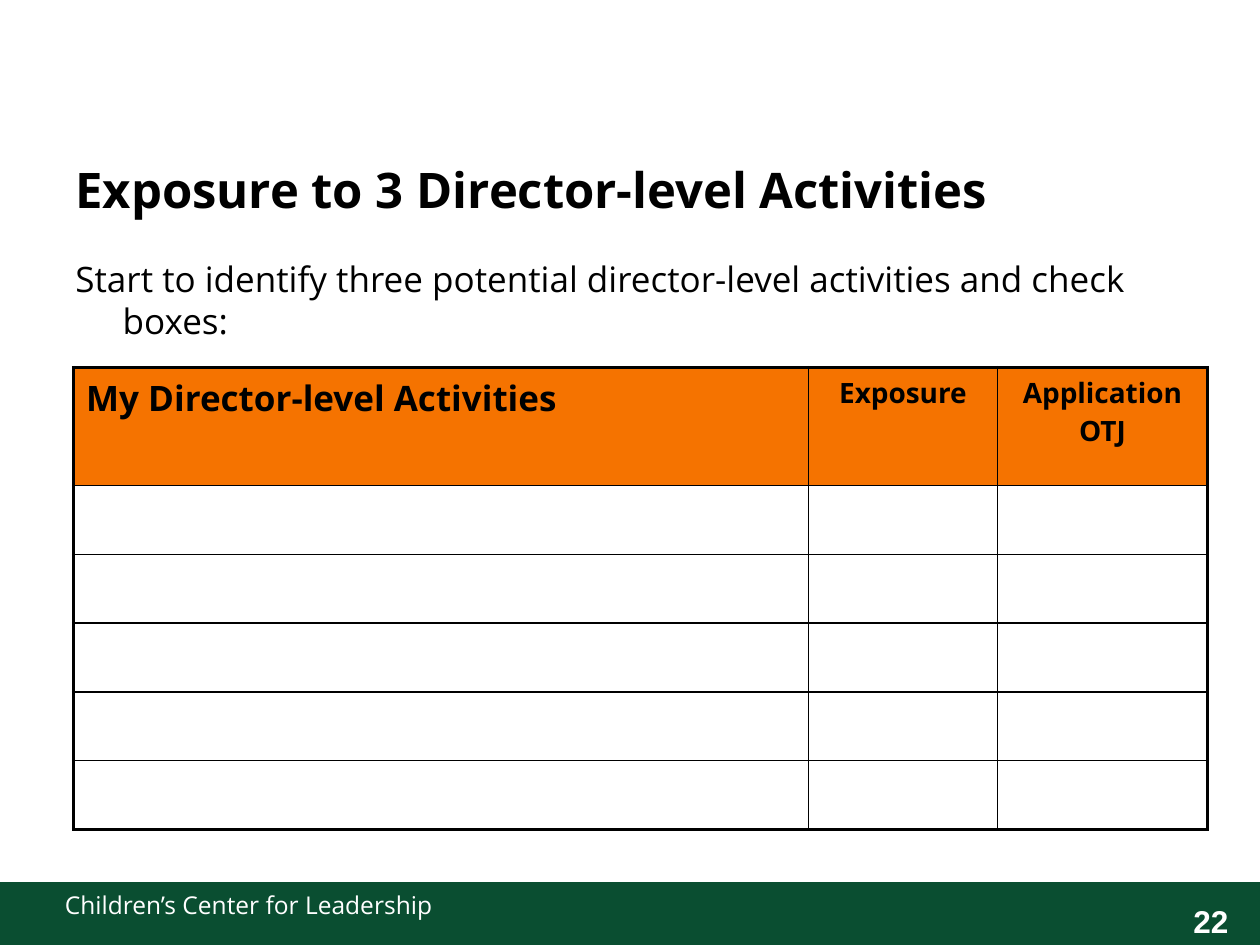
"""Build the director-level activities worksheet slide."""
from dataclasses import dataclass

from lxml import etree
from pptx import Presentation
from pptx.dml.color import RGBColor
from pptx.enum.shapes import MSO_SHAPE
from pptx.enum.text import MSO_ANCHOR, PP_ALIGN
from pptx.oxml.ns import qn
from pptx.util import Pt


@dataclass(frozen=True)
class Theme:
    black: str = "000000"
    white: str = "FFFFFF"
    green: str = "0A4E31"
    orange: str = "F57300"
    font: str = "Open Sans"
    number_font: str = "Arial"
    title: int = 28
    body: int = 20
    column: int = 16
    footer: int = 14
    number: int = 18
    outer_line: float = 2.25
    inner_line: float = 1


THEME = Theme()
SLIDE_WIDTH, SLIDE_HEIGHT = 720, 540
TITLE = "Exposure to 3 Director-level Activities"
PROMPT = "Start to identify three potential director-level activities and check boxes:"
FOOTER = "Children’s Center for Leadership"
PAGE = "22"
COLUMNS = [
    ("My Director-level Activities", 420, THEME.body, PP_ALIGN.LEFT),
    ("Exposure", 108, THEME.column, PP_ALIGN.CENTER),
    ("Application OTJ", 120, THEME.column, PP_ALIGN.CENTER),
]
EMPTY_ROWS = 5
HEADER_HEIGHT, ROW_HEIGHT = 67.5, 39.3
TABLE_LEFT, TABLE_TOP = 42, 210
BAND_TOP, BAND_HEIGHT = 504, 39.6


def write(frame, text, size, color=THEME.black, bold=False,
          font=THEME.font, align=PP_ALIGN.LEFT):
    frame.word_wrap = True
    paragraph = frame.paragraphs[0]
    paragraph.alignment = align
    run = paragraph.add_run()
    run.text = text
    run.font.name, run.font.size, run.font.bold = font, Pt(size), bold
    run.font.color.rgb = RGBColor.from_string(color)
    return paragraph


def add_text_frame(slide, left, top, width, height):
    box = slide.shapes.add_textbox(Pt(left), Pt(top), Pt(width), Pt(height))
    return box.text_frame


def set_borders(cell, widths):
    properties = cell._tc.get_or_add_tcPr()
    for position, (side, width) in enumerate(widths.items()):
        line = etree.Element(qn(f"a:ln{side}"), w=str(int(Pt(width))))
        fill = etree.SubElement(line, qn("a:solidFill"))
        etree.SubElement(fill, qn("a:srgbClr"), val=THEME.black)
        properties.insert(position, line)


def add_band(slide):
    band = slide.shapes.add_shape(
        MSO_SHAPE.RECTANGLE, 0, Pt(BAND_TOP), Pt(SLIDE_WIDTH), Pt(BAND_HEIGHT))
    band.shadow.inherit = False
    band.fill.solid()
    band.fill.fore_color.rgb = RGBColor.from_string(THEME.green)
    band.line.fill.background()
    write(add_text_frame(slide, 664, 512, 56, 28.8), PAGE, THEME.number,
          THEME.white, True, THEME.number_font, PP_ALIGN.CENTER)
    write(add_text_frame(slide, 30, 505, 569, 36), FOOTER, THEME.footer, THEME.white)


def add_heading(slide):
    title = add_text_frame(slide, 36, 72, 648, 72)
    title.vertical_anchor = MSO_ANCHOR.MIDDLE
    write(title, TITLE, THEME.title, bold=True)
    body = add_text_frame(slide, 36, 114, 636, 332)
    body.margin_top = Pt(33)
    prompt = write(body, PROMPT, THEME.body)
    prompt.line_spacing = Pt(24)
    indent = prompt._p.get_or_add_pPr()
    indent.set("marL", str(int(Pt(27))))
    indent.set("indent", str(int(Pt(-27))))


def add_activity_table(slide):
    heights = [HEADER_HEIGHT] + [ROW_HEIGHT] * EMPTY_ROWS
    widths = [column[1] for column in COLUMNS]
    table = slide.shapes.add_table(
        len(heights), len(widths), Pt(TABLE_LEFT), Pt(TABLE_TOP),
        Pt(sum(widths)), Pt(sum(heights))).table
    table.first_row = table.horz_banding = False
    for column, width in zip(table.columns, widths):
        column.width = Pt(width)
    for r, height in enumerate(heights):
        table.rows[r].height = Pt(height)
        for c, (label, _, size, align) in enumerate(COLUMNS):
            cell = table.cell(r, c)
            if r == 0:
                cell.fill.solid()
                cell.fill.fore_color.rgb = RGBColor.from_string(THEME.orange)
                write(cell.text_frame, label, size, bold=True, align=align)
            else:
                cell.fill.background()
            edges = {"L": c == 0, "R": c == len(widths) - 1,
                     "T": r == 0, "B": r == len(heights) - 1}
            set_borders(cell, {
                side: THEME.outer_line if outer else THEME.inner_line
                for side, outer in edges.items()})


def build():
    deck = Presentation()
    deck.slide_width, deck.slide_height = Pt(SLIDE_WIDTH), Pt(SLIDE_HEIGHT)
    slide = deck.slides.add_slide(deck.slide_layouts[6])
    add_band(slide)
    add_heading(slide)
    add_activity_table(slide)
    deck.save("out.pptx")


build()
